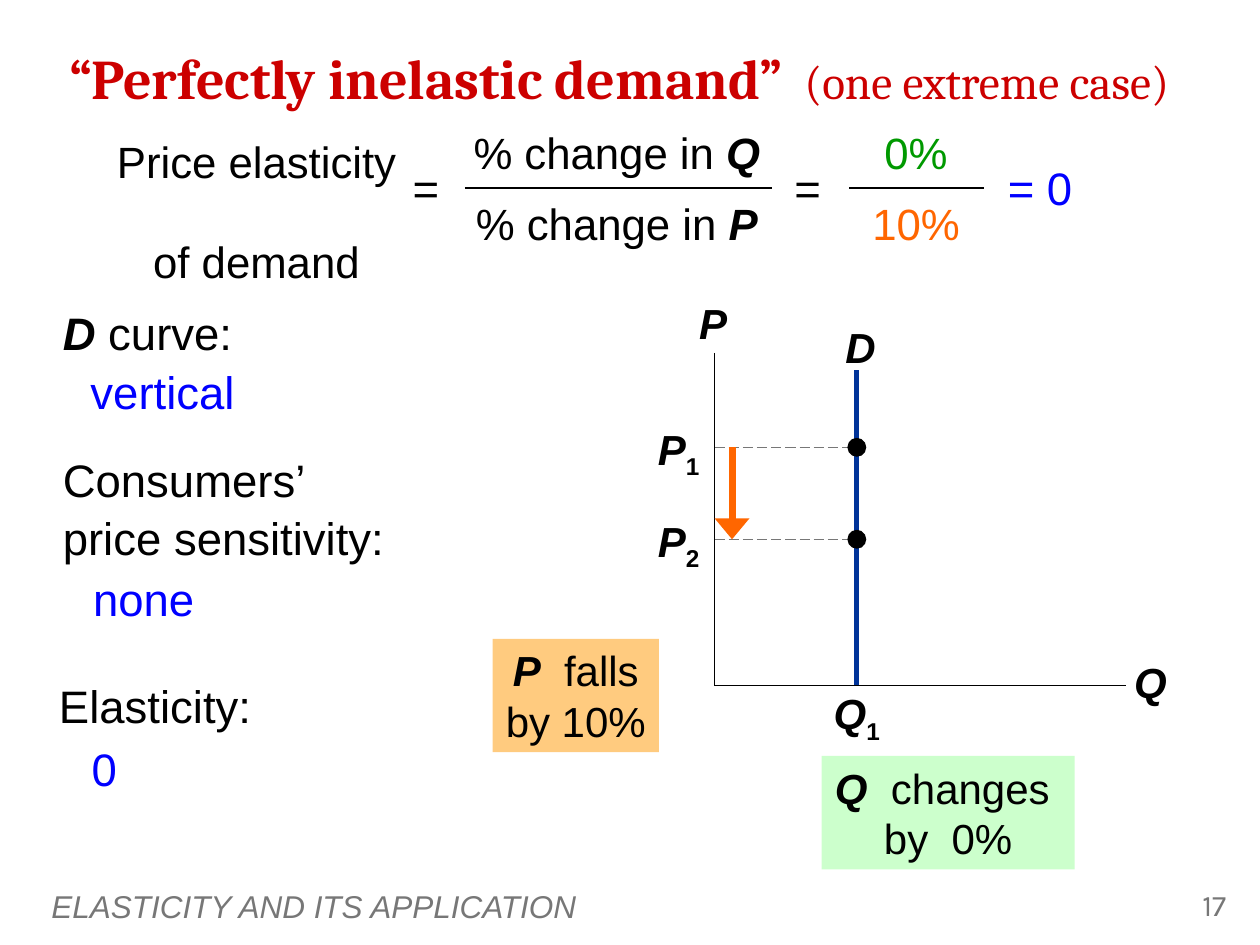
from dataclasses import dataclass

from lxml import etree
from pptx import Presentation
from pptx.dml.color import RGBColor
from pptx.enum.dml import MSO_LINE
from pptx.enum.shapes import MSO_CONNECTOR, MSO_SHAPE
from pptx.enum.text import MSO_ANCHOR, PP_ALIGN
from pptx.oxml.ns import qn
from pptx.util import Inches, Pt

LEFT, CENTER, RIGHT = PP_ALIGN.LEFT, PP_ALIGN.CENTER, PP_ALIGN.RIGHT
TOP, MIDDLE = MSO_ANCHOR.TOP, MSO_ANCHOR.MIDDLE
DASH = MSO_LINE.LONG_DASH
STRAIGHT = MSO_CONNECTOR.STRAIGHT
RECTANGLE, OVAL = MSO_SHAPE.RECTANGLE, MSO_SHAPE.OVAL


@dataclass(frozen=True)
class Theme:
    body: str = "Arial"
    heading: str = "Cambria"
    number: str = "Karla"
    ink: str = "000000"
    muted: str = "777777"
    title: str = "CC0000"
    answer: str = "0000FF"
    quantity: str = "009900"
    price: str = "FF6600"
    demand: str = "003399"
    price_note: str = "FF9900"
    quantity_note: str = "CCFFCC"
    title_size: float = 32
    subtitle_size: float = 27
    note_size: float = 26
    fraction_size: float = 25
    label_size: float = 24
    footer_size: float = 18
    number_size: float = 17


THEME = Theme()
SYMBOL = {"bold": True, "italic": True}
SUBSCRIPT = {"bold": True, "baseline": "-25000"}


def color(code):
    return RGBColor.from_string(code)


def place(box, left, top):
    return Inches(box[0] + left), Inches(box[1] + top)


def write(shape, lines, size, ink=THEME.ink, align=CENTER, font=THEME.body,
          anchor=TOP, spacing=None, gap=0):
    frame = shape.text_frame
    frame.word_wrap = True
    frame.vertical_anchor = anchor
    for index, line in enumerate(lines):
        paragraph = frame.paragraphs[0] if index == 0 else frame.add_paragraph()
        paragraph.alignment = align
        if spacing:
            paragraph.line_spacing = spacing
        if index and gap:
            paragraph.space_before = Pt(gap)
        paragraph.font.name = font
        paragraph.font.size = Pt(size)
        paragraph.font.color.rgb = color(ink)
        for words, style in line:
            run = paragraph.add_run()
            run.text = words
            if "bold" in style:
                run.font.bold = style["bold"]
            if "italic" in style:
                run.font.italic = style["italic"]
            if "size" in style:
                run.font.size = Pt(style["size"])
            if "baseline" in style:
                run.font._element.set("baseline", style["baseline"])


def add_text(slide, box, at, lines, size, **options):
    left, top, width, height = at
    label = slide.shapes.add_textbox(*place(box, left, top), Inches(width), Inches(height))
    write(label, lines, size, **options)


def add_line(slide, box, start, end, ink=THEME.ink, width=1, dash=None):
    line = slide.shapes.add_connector(STRAIGHT, *place(box, *start), *place(box, *end))
    line.line.color.rgb = color(ink)
    line.line.width = Pt(width)
    if dash:
        line.line.dash_style = dash
    etree.SubElement(line._element.spPr, qn("a:effectLst"))
    return line


def add_filled(slide, box, kind, at, fill):
    left, top, width, height = at
    shape = slide.shapes.add_shape(kind, *place(box, left, top), Inches(width), Inches(height))
    shape.shadow.inherit = False
    shape.fill.solid()
    shape.fill.fore_color.rgb = color(fill)
    shape.line.fill.background()
    return shape


def add_title(slide, box):
    add_text(slide, box, (0, 0, 9.29, 0.68),
             [[("“Perfectly inelastic demand”", {"bold": True}),
               ("  ", {"bold": True, "size": THEME.subtitle_size}),
               ("(one extreme case)", {"size": THEME.subtitle_size})]],
             THEME.title_size, ink=THEME.title, align=LEFT, font=THEME.heading, anchor=MIDDLE)


def add_equation(slide, box):
    add_text(slide, box, (0, 0.1, 2.49, 1.29),
             [[("Price elasticity", {})], [("of demand", {})]],
             THEME.fraction_size, spacing=0.95, gap=29)
    for left, width, words, ink in ((2.34, 0.5, "=", THEME.ink), (5.37, 0.5, "=", THEME.ink),
                                    (7.09, 0.75, "= 0", THEME.answer)):
        add_text(slide, box, (left, 0.27, width, 0.54), [[(words, {})]],
                 THEME.note_size, ink=ink)
    for top, variable, percent, ink in ((0, "Q", "0%", THEME.quantity),
                                        (0.56, "P", "10%", THEME.price)):
        add_text(slide, box, (2.8, top, 2.61, 0.52),
                 [[("% change in ", {}), (variable, SYMBOL)]], THEME.fraction_size)
        add_text(slide, box, (5.84, top, 1.28, 0.52), [[(percent, {})]],
                 THEME.fraction_size, ink=ink)
    for start, end in ((2.9, 5.34), (5.95, 7.02)):
        add_line(slide, box, (start, 0.54), (end, 0.54))


def add_findings(slide, box):
    findings = (
        ((0.03, 0, 1.8, 0.58), [[("D", SYMBOL), (" curve:", {})]], THEME.ink),
        ((0.25, 0.47, 3.17, 0.58), [[("vertical", {})]], THEME.answer),
        ((0.03, 1.17, 3.71, 1.06),
         [[("Consumers’", {})], [("price sensitivity:", {})]], THEME.ink),
        ((0.27, 2.11, 2.87, 0.54), [[("none", {})]], THEME.answer),
        ((0, 2.96, 1.8, 0.59), [[("Elasticity:", {})]], THEME.ink),
        ((0.26, 3.46, 2, 0.59), [[("0", {})]], THEME.answer),
    )
    for at, lines, ink in findings:
        add_text(slide, box, at, lines, THEME.note_size, ink=ink, align=LEFT, spacing=1.05)


def add_graph(slide, box):
    axis, base, demand, dot = 0.68, 3.13, 1.81, 0.15
    prices = (("1", 1.24), ("2", 1.97))
    for index, height in prices:
        add_text(slide, box, (0, height - 0.24, 0.66, 0.56),
                 [[("P", SYMBOL), (index, SUBSCRIPT)]], THEME.label_size, align=RIGHT)
        add_line(slide, box, (axis, height), (demand, height), THEME.muted, 0.75, DASH)
    add_line(slide, box, (axis, 0.49), (axis, base))
    add_line(slide, box, (axis, base), (3.95, base))
    add_line(slide, box, (demand, 0.63), (demand, base), THEME.demand, 3)
    for index, height in prices:
        add_filled(slide, box, OVAL, (demand - dot / 2, height - dot / 2, dot, dot), THEME.ink)
    for left, top, letter in ((0.29, 0, "P"), (1.46, 0.19, "D"), (3.76, 2.85, "Q")):
        add_text(slide, box, (left, top, 0.76, 0.5), [[(letter, SYMBOL)]], THEME.label_size)
    add_text(slide, box, (1.49, 3.1, 0.64, 0.56),
             [[("Q", SYMBOL), ("1", SUBSCRIPT)]], THEME.label_size)
    price_fall = add_line(slide, box, (0.82, prices[0][1]), (0.82, prices[1][1]),
                          THEME.price, 4)
    etree.SubElement(price_fall.line._get_or_add_ln(), qn("a:tailEnd"),
                     type="triangle", w="lg", len="med")


def add_callouts(slide, box):
    price = add_filled(slide, box, RECTANGLE, (0, 0, 1.32, 0.9), THEME.price_note)
    tint = price._element.spPr.find(".//" + qn("a:srgbClr"))
    etree.SubElement(tint, qn("a:alpha"), val="50000")
    quantity = add_filled(slide, box, RECTANGLE, (2.61, 0.93, 2.01, 0.9), THEME.quantity_note)
    write(price, [[("P", SYMBOL), ("  falls", {})], [("by 10%", {})]], THEME.label_size)
    write(quantity, [[("Q", SYMBOL), ("  changes ", {})], [("by  0%", {})]], THEME.label_size)


def add_footer(slide, box):
    add_text(slide, box, (0, 0, 8.02, 0.4),
             [[("ELASTICITY AND ITS APPLICATION", {"italic": True})]],
             THEME.footer_size, ink=THEME.muted, align=LEFT, anchor=MIDDLE)
    add_text(slide, box, (8.77, 0, 0.75, 0.4), [[("17", {})]], THEME.number_size,
             ink=THEME.muted, align=RIGHT, font=THEME.number)


def main():
    deck = Presentation()
    deck.slide_width, deck.slide_height = Inches(10), Inches(7.5)
    slide = deck.slides.add_slide(deck.slide_layouts[6])
    add_footer(slide, (0.31, 6.99))
    add_title(slide, (0.45, 0.27))
    add_equation(slide, (0.79, 0.95))
    add_findings(slide, (0.37, 2.35))
    add_graph(slide, (4.99, 2.31))
    add_callouts(slide, (3.91, 5.07))
    deck.save("out.pptx")


if __name__ == "__main__":
    main()
